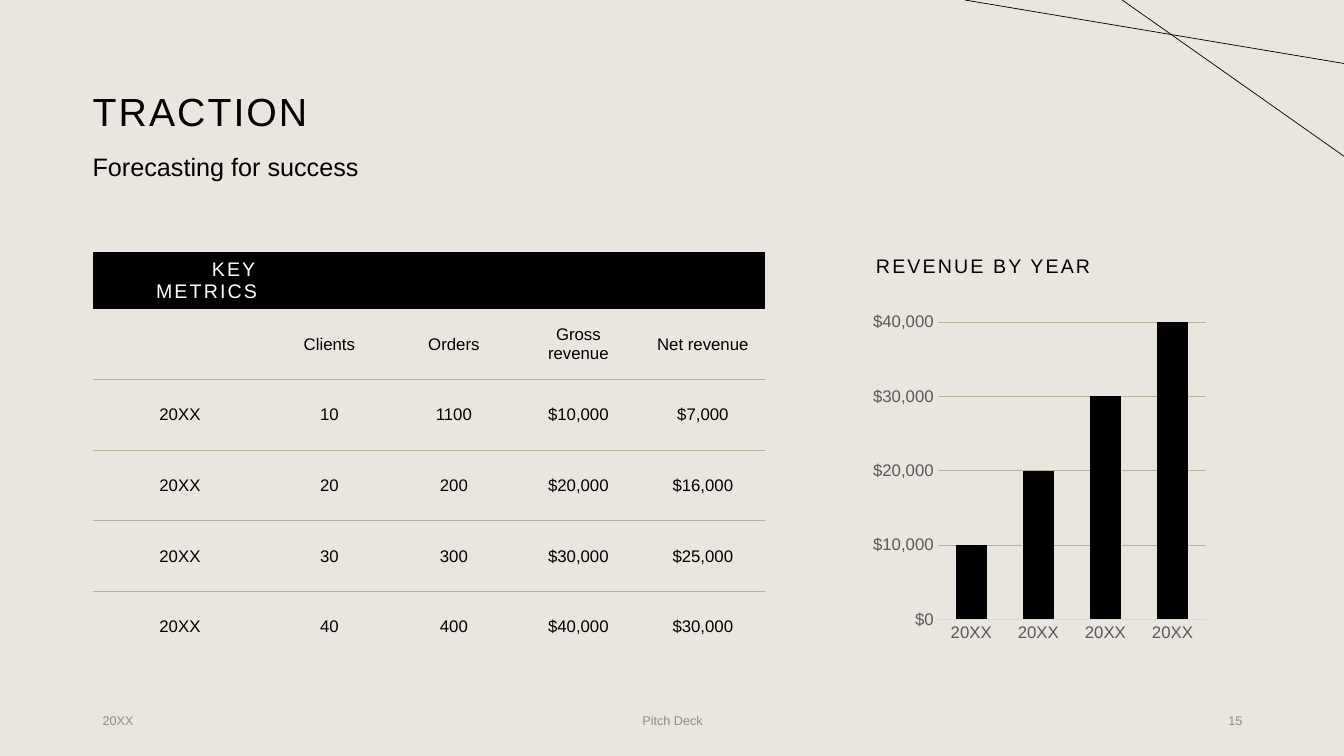
from dataclasses import dataclass

from lxml import etree
from pptx import Presentation
from pptx import util as u
from pptx.chart import data as cd
from pptx.dml import color as dc
from pptx.enum import chart as ch
from pptx.enum import shapes, text
from pptx.oxml import ns

IN = u.Inches
LEFT, MID, RIGHT = text.PP_ALIGN.LEFT, text.PP_ALIGN.CENTER, text.PP_ALIGN.RIGHT
TOP, HALF = text.MSO_ANCHOR.TOP, text.MSO_ANCHOR.MIDDLE
PLAIN = "{2D5ABB26-0587-4C30-8999-92F81FD0307C}"


@dataclass(frozen=True)
class Theme:
    face: str = "Arial"
    paper: str = "E9E6DF"
    ink: str = "000000"
    white: str = "FFFFFF"
    rule: str = "BBB19B"
    axis: str = "D9D9D9"
    label: str = "595959"
    muted: str = "8C8C8C"
    title: int = 28
    lead: int = 18
    head: int = 14
    body: int = 12
    foot: int = 9


LOOK = Theme()
YEAR = "20XX"
HEADS = ("", "Clients", "Orders", "Gross revenue", "Net revenue")
ROWS = (
    (YEAR, "10", "1100", "$10,000", "$7,000"),
    (YEAR, "20", "200", "$20,000", "$16,000"),
    (YEAR, "30", "300", "$30,000", "$25,000"),
    (YEAR, "40", "400", "$40,000", "$30,000"),
)
SALES = (10000, 20000, 30000, 40000)


def apply(item, **values):
    for name, value in values.items():
        setattr(item, name, value)


def rgb(code):
    return dc.RGBColor.from_string(code)


def style(font, size, tint):
    apply(font, name=LOOK.face, size=u.Pt(size))
    font.color.rgb = rgb(tint)


def stroke(line, tint, width):
    line.color.rgb = rgb(tint)
    line.width = u.Pt(width)


def write(para, words, size, tint, align=LEFT, track=0):
    para.alignment = align
    run = para.add_run()
    run.text = words
    style(run.font, size, tint)
    if track:
        run.font._element.set("spc", str(track))


def label(slide, box, words, size, tint=LOOK.ink, align=LEFT, track=0,
          anchor=TOP, inset=0.1, lead=1.0):
    frame = slide.shapes.add_textbox(*map(IN, box)).text_frame
    apply(frame, word_wrap=True, vertical_anchor=anchor, margin_left=IN(inset))
    frame.paragraphs[0].line_spacing = lead
    write(frame.paragraphs[0], words, size, tint, align, track)


def border(cell):
    props = cell._tc.get_or_add_tcPr()
    line = etree.Element(ns.qn("a:lnB"), w=str(u.Pt(1)))
    fill = etree.SubElement(line, ns.qn("a:solidFill"))
    etree.SubElement(fill, ns.qn("a:srgbClr"), val=LOOK.rule)
    props.insert(0, line)


def header(slide, box):
    x, y, w, h = box
    label(slide, box, "TRACTION", LOOK.title, track=150, anchor=HALF,
          inset=0, lead=0.9)
    label(slide, (x - 0.1, y + 1.09, 7.4, 0.54), "Forecasting for success",
          LOOK.lead, lead=0.9)


def metrics(slide, box):
    x, y, w, h = box
    top, first = 0.53, 1.73
    step, rest = (h - top) / 5, (w - first) / 4
    table = slide.shapes.add_table(6, 5, *map(IN, box)).table
    table._tbl.tblPr.find(ns.qn("a:tableStyleId")).text = PLAIN
    apply(table, first_row=False, horz_banding=False)
    for i, row in enumerate(table.rows):
        row.height = IN(step if i else top)
    for i, col in enumerate(table.columns):
        col.width = IN(rest if i else first)
    grid = (("KEY METRICS", "", "", "", ""), HEADS) + ROWS
    for r, line in enumerate(grid):
        for c, words in enumerate(line):
            cell = table.cell(r, c)
            cell.vertical_anchor = HALF
            if r:
                cell.fill.background()
            else:
                cell.fill.solid()
                cell.fill.fore_color.rgb = rgb(LOOK.ink)
            if 0 < r < len(grid) - 1:
                border(cell)
            para = cell.text_frame.paragraphs[0]
            if not words:
                para.font.size = u.Pt(LOOK.body)
            elif r:
                write(para, words, LOOK.body, LOOK.ink, MID)
            else:
                cell.margin_left = IN(0.2)
                write(para, words, LOOK.head, LOOK.white, RIGHT, 150)


def revenue(slide, box):
    x, y, w, h = box
    label(slide, (x, y, w, 0.34), "REVENUE BY YEAR", LOOK.head,
          track=150, lead=0.9)
    data = cd.CategoryChartData(number_format="[$$-409]#,##0")
    data.categories = [YEAR] * len(SALES)
    data.add_series("Series 1", SALES)
    chart = slide.shapes.add_chart(
        ch.XL_CHART_TYPE.COLUMN_CLUSTERED,
        *map(IN, (x, y + 0.54, w, h - 0.54)), data).chart
    apply(chart, has_legend=False, has_title=False)
    style(chart.font, LOOK.body, LOOK.label)
    plot = chart.plots[0]
    apply(plot, gap_width=118, overlap=-3, vary_by_categories=False)
    fill = plot.series[0].format.fill
    fill.solid()
    fill.fore_color.rgb = rgb(LOOK.ink)
    cats, vals = chart.category_axis, chart.value_axis
    for axis in (cats, vals):
        apply(axis, major_tick_mark=ch.XL_TICK_MARK.NONE,
              minor_tick_mark=ch.XL_TICK_MARK.NONE)
        style(axis.tick_labels.font, LOOK.body, LOOK.label)
    stroke(cats.format.line, LOOK.axis, 0.75)
    apply(vals, minimum_scale=0, maximum_scale=40000, major_unit=10000,
          has_major_gridlines=True)
    apply(vals.tick_labels, number_format="[$$-409]#,##0",
          number_format_is_linked=False)
    vals.format.line.fill.background()
    stroke(vals.major_gridlines.format.line, LOOK.rule, 0.75)


def footer(slide, box):
    x, y, w, h = box
    parts = ((x, 3, YEAR, LEFT), (x + (w - 4.5) / 2, 4.5, "Pitch Deck", MID),
             (x + w - 3, 3, "15", RIGHT))
    for left, wide, words, align in parts:
        label(slide, (left, y, wide, h), words, LOOK.foot, LOOK.muted,
              align, anchor=HALF)


def corner(slide, box):
    x, y, w, h = box
    for start, drop in ((1.56, h), (0, 0.63)):
        ends = (x + start, y, x + w, y + drop)
        line = slide.shapes.add_connector(
            shapes.MSO_CONNECTOR.STRAIGHT, *map(IN, ends))
        stroke(line.line, LOOK.ink, 0.5)
        etree.SubElement(line._element.spPr, ns.qn("a:effectLst"))


def main():
    deck = Presentation()
    apply(deck, slide_width=IN(13.33), slide_height=IN(7.5))
    slide = deck.slides.add_slide(deck.slide_layouts[6])
    fill = slide.background.fill
    fill.solid()
    fill.fore_color.rgb = rgb(LOOK.paper)
    header(slide, (0.92, 0.4, 11.5, 1.45))
    metrics(slide, (0.92, 2.5, 6.67, 4.03))
    revenue(slide, (8.59, 2.5, 3.44, 3.93))
    footer(slide, (0.92, 6.95, 11.5, 0.4))
    corner(slide, (9.57, 0, 3.76, 1.55))
    deck.save("out.pptx")


if __name__ == "__main__":
    main()
